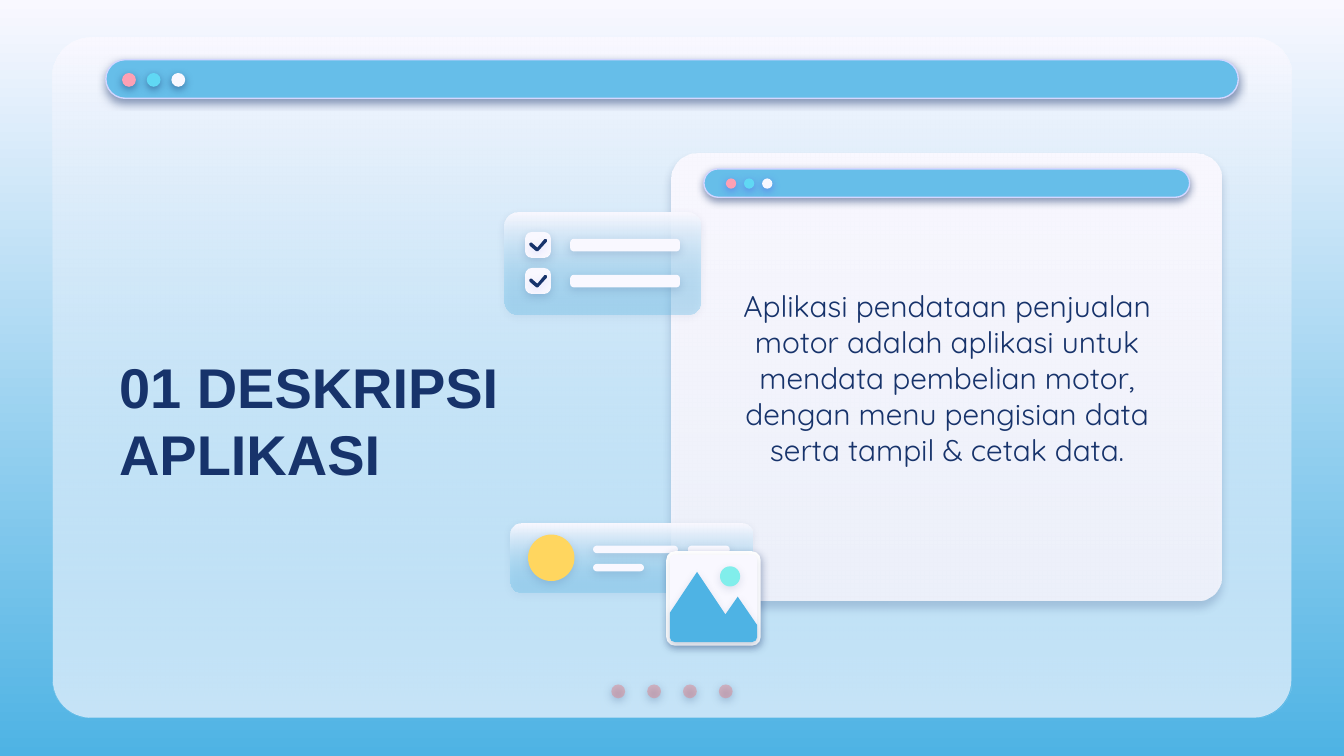
"""Build the application description slide with its layered window panels."""
from dataclasses import dataclass

from lxml.etree import SubElement
from pptx import Presentation
from pptx.dml.color import RGBColor
from pptx.enum.shapes import MSO_SHAPE
from pptx.enum.text import MSO_ANCHOR, PP_ALIGN
from pptx.oxml.ns import qn
from pptx.util import Pt


@dataclass(frozen=True)
class Theme:
    navy: str = "17336B"
    indigo: str = "5352EE"
    paper: str = "F9F8FF"
    white: str = "FFFFFF"
    sky: str = "66BEE9"
    blue: str = "4EB3E4"
    border: str = "D2D6FF"
    pink: str = "FDA0B4"
    cyan: str = "60D8F4"
    red: str = "E27B83"
    yellow: str = "FFD65F"
    mint: str = "81EEEB"
    title_font: str = "Arial"
    body_font: str = "Quicksand"
    title_size: int = 30
    body_size: int = 16


@dataclass(frozen=True)
class Shadow:
    color: str
    opacity: int
    distance: float = 1.5
    angle: int = 90


THEME = Theme()
STRONG = Shadow(THEME.navy, 50)
GLOW = Shadow(THEME.indigo, 50)
SOFT = Shadow(THEME.navy, 15)
FAINT = Shadow(THEME.navy, 13)


def rgb(color):
    return RGBColor.from_string(color)


def set_opacity(color_element, percent):
    SubElement(color_element, qn("a:alpha"), val=str(percent * 1000))


def fill_gradient(fill, top, bottom):
    fill.gradient()
    fill.gradient_angle = 270
    for stop, color, position in zip(fill.gradient_stops, (top, bottom), (0, 1)):
        stop.color.rgb = rgb(color)
        stop.position = position


def add_shadow(shape, shadow):
    effects = shape.element.spPr.find(qn("a:effectLst"))
    outer = SubElement(effects, qn("a:outerShdw"), blurRad=str(Pt(4.5)),
                       dist=str(Pt(shadow.distance)), dir=str(shadow.angle * 60000),
                       algn="bl", rotWithShape="0")
    set_opacity(SubElement(outer, qn("a:srgbClr"), val=shadow.color), shadow.opacity)


def style(shape, color, shadow=None, line=None, opacity=100, fade=None):
    """Fill with a colour, or fade to a (colour, opacity) pair at the bottom."""
    shape.shadow.inherit = False
    if fade:
        fill_gradient(shape.fill, color, fade[0])
        opacity = fade[1]
    else:
        shape.fill.solid()
        shape.fill.fore_color.rgb = rgb(color)
    if opacity < 100:
        set_opacity(list(shape.element.spPr.iter(qn("a:srgbClr")))[-1], opacity)
    if line:
        shape.line.color.rgb = rgb(line)
        shape.line.width = Pt(0.75)
    else:
        shape.line.fill.background()
    if shadow:
        add_shadow(shape, shadow)


def add_rounded(slide, left, top, width, height, radius, color, **options):
    shape = slide.shapes.add_shape(MSO_SHAPE.ROUNDED_RECTANGLE,
                                   Pt(left), Pt(top), Pt(width), Pt(height))
    shape.adjustments[0] = min(radius / min(width, height), 0.5)
    style(shape, color, **options)


def add_circle(slide, left, top, size, color, **options):
    shape = slide.shapes.add_shape(MSO_SHAPE.OVAL, Pt(left), Pt(top), Pt(size), Pt(size))
    style(shape, color, **options)


def add_dots(slide, left, top, size, pitch, colors, **options):
    for index, color in enumerate(colors):
        add_circle(slide, left + index * pitch, top, size, color, **options)


def add_outline(slide, points, color, **options):
    start, *rest = [(Pt(x), Pt(y)) for x, y in points]
    builder = slide.shapes.build_freeform(*start)
    builder.add_line_segments(rest, close=True)
    style(builder.convert_to_shape(), color, **options)


def add_text(slide, left, top, width, height, lines, font, size,
             bold=False, align=PP_ALIGN.LEFT, after=0):
    frame = slide.shapes.add_textbox(Pt(left), Pt(top), Pt(width), Pt(height)).text_frame
    frame.word_wrap = True
    frame.vertical_anchor = MSO_ANCHOR.MIDDLE
    frame.margin_left = frame.margin_right = Pt(7.2)
    frame.margin_top = frame.margin_bottom = Pt(7.2)
    frame.text = "\n".join(lines)
    for paragraph in frame.paragraphs:
        paragraph.alignment = align
        paragraph.line_spacing = 1.0
        paragraph.space_after = Pt(after)
        paragraph.font.name = font
        paragraph.font.size = Pt(size)
        paragraph.font.bold = bold
        paragraph.font.color.rgb = rgb(THEME.navy)


def add_window(slide):
    panel = (28.3, 20.2, 663.5, 364.3, 20.4, THEME.paper)
    add_rounded(slide, *panel)
    add_rounded(slide, *panel, fade=(THEME.sky, 34))
    add_dots(slide, 327.5, 366.7, 7.4, 19.2, [THEME.red] * 4, shadow=STRONG, opacity=44)
    add_rounded(slide, 56.7, 32, 606.7, 20.7, 10.4, THEME.sky,
                shadow=STRONG, line=THEME.border)
    add_dots(slide, 65.4, 39.1, 7.4, 13.2, [THEME.pink, THEME.cyan, THEME.paper],
             shadow=STRONG)


def add_description_card(slide):
    add_rounded(slide, 359.6, 82.2, 295, 239.6, 13.4, THEME.paper,
                fade=(THEME.paper, 86), shadow=Shadow(THEME.navy, 22, 3.8, 91))
    add_rounded(slide, 377.1, 90.5, 260.2, 15.2, 7.6, THEME.sky,
                shadow=STRONG, line=THEME.border)
    add_dots(slide, 388.9, 95.6, 5.5, 9.7, [THEME.pink, THEME.cyan, THEME.paper],
             shadow=GLOW)


def add_checklist(slide):
    add_rounded(slide, 270.4, 114, 104.8, 54.5, 7, THEME.paper,
                fade=(THEME.sky, 34), shadow=SOFT)
    check = [(10.6, 4.1), (6.6, 8.9), (3.2, 5.9), (2.6, 6.4), (2.8, 7.1),
             (6.1, 9.9), (6.8, 9.9), (11.3, 5), (11.3, 4.2)]
    left = 281.3
    for top in (124.3, 143.6):
        add_rounded(slide, 305.5, top + 3.7, 58.8, 6.7, 1.9, THEME.paper, shadow=SOFT)
        add_rounded(slide, left, top, 13.9, 13.9, 3.6, THEME.paper, shadow=SOFT)
        add_outline(slide, [(left + x, top + y) for x, y in check], THEME.navy,
                    line=THEME.navy, shadow=Shadow(THEME.indigo, 15))


def add_profile(slide):
    add_rounded(slide, 273.5, 280.5, 129.4, 36.9, 5.8, THEME.paper,
                fade=(THEME.sky, 34), shadow=FAINT)
    add_circle(slide, 282.9, 286.4, 24.9, THEME.yellow, shadow=FAINT)
    for left, top, width in ((317.7, 292.3, 45.5), (368.5, 292.3, 22.5), (317.7, 302.1, 27.3)):
        add_rounded(slide, left, top, width, 4, 2, THEME.paper, shadow=FAINT)


def add_landscape(slide):
    add_rounded(slide, 356.9, 295.3, 50.6, 50.6, 4.7, THEME.white,
                shadow=Shadow(THEME.navy, 33, angle=64))
    add_rounded(slide, 358.8, 297.2, 46.8, 46.8, 2.6, THEME.paper, shadow=FAINT)
    mountains = [(373.4, 306.4), (358.8, 328.4), (358.8, 341.5), (359.6, 343.3),
                 (361.4, 344), (403, 344), (404.8, 343.3), (405.6, 341.5),
                 (405.6, 334.9), (395.2, 319.7), (388.6, 329.2)]
    add_outline(slide, mountains, THEME.blue, shadow=FAINT)
    add_circle(slide, 385.7, 303.4, 10.8, THEME.mint, shadow=FAINT)


def main():
    presentation = Presentation()
    presentation.slide_width, presentation.slide_height = Pt(720), Pt(405)
    slide = presentation.slides.add_slide(presentation.slide_layouts[6])
    fill_gradient(slide.background.fill, THEME.paper, THEME.blue)
    add_window(slide)
    add_text(slide, 56.7, 168.5, 259.9, 112.3, ["01 DESKRIPSI", "APLIKASI"],
             THEME.title_font, THEME.title_size, bold=True)
    add_description_card(slide)
    add_text(slide, 371.8, 113.8, 271.2, 177.1,
             ["Aplikasi pendataan penjualan motor adalah aplikasi untuk mendata "
              "pembelian motor, dengan menu pengisian data serta tampil & cetak data."],
             THEME.body_font, THEME.body_size, align=PP_ALIGN.CENTER, after=12)
    add_checklist(slide)
    add_profile(slide)
    add_landscape(slide)
    presentation.save("out.pptx")


if __name__ == "__main__":
    main()
